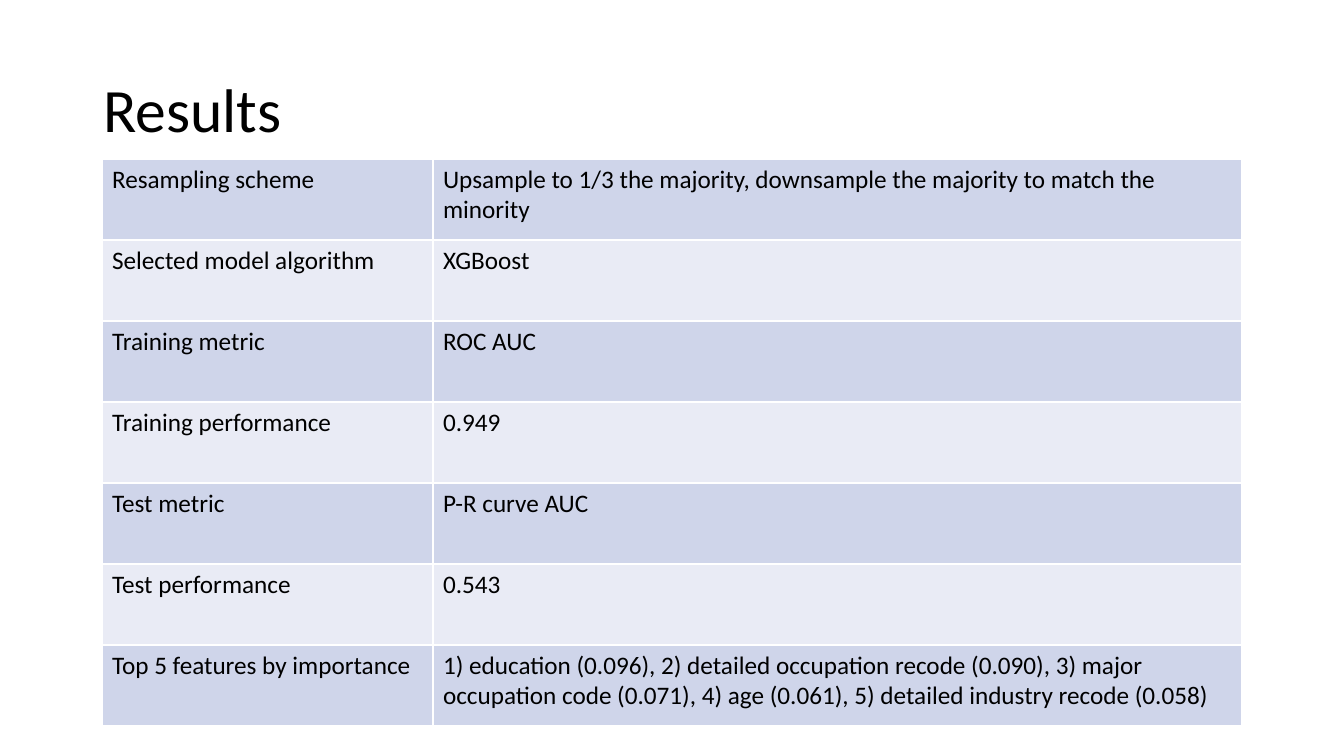
from pptx import Presentation
from pptx.dml.color import RGBColor
from pptx.enum.text import MSO_ANCHOR, PP_ALIGN
from pptx.util import Emu, Pt

LEFT, MIDDLE = PP_ALIGN.LEFT, MSO_ANCHOR.MIDDLE

TITLE = "Results"
RESULTS = [
    ("Resampling scheme",
     "Upsample to 1/3 the majority, downsample the majority to match the minority"),
    ("Selected model algorithm", "XGBoost"),
    ("Training metric", "ROC AUC"),
    ("Training performance", "0.949"),
    ("Test metric", "P-R curve AUC"),
    ("Test performance", "0.543"),
    ("Top 5 features by importance",
     "1) education (0.096), 2) detailed occupation recode (0.090), "
     "3) major occupation code (0.071), 4) age (0.061), "
     "5) detailed industry recode (0.058)"),
]
BAND_FILLS = ["CFD5EA", "E9EBF5"]
TITLE_FONT = {"name": "Calibri", "size": Pt(44), "bold": False}
CELL_FONT = {"name": "Calibri", "size": Pt(18), "bold": False}
TEXT_COLOR = "000000"

PAGE_SIZE = (1344, 756)
TITLE_BOX = (93, 40, 1159, 146)
TABLE_LEFT, TABLE_TOP = 102, 159
COLUMN_WIDTHS = [331, 809]
ROW_HEIGHT = 81
EMU_PER_PX = 914400 / 100.8


def px(length):
    return Emu(round(length * EMU_PER_PX))


def color(hex_value):
    return RGBColor.from_string(hex_value)


def write(frame, text, font_format):
    """Put one left-aligned paragraph into a text frame and format it."""
    para = frame.paragraphs[0]
    para.alignment = LEFT
    span = para.add_run()
    span.text = text
    for name, value in font_format.items():
        setattr(span.font, name, value)
    span.font.color.rgb = color(TEXT_COLOR)
    return para


def add_title(page):
    title = page.shapes.title
    for name, value in zip(("left", "top", "width", "height"), TITLE_BOX):
        setattr(title, name, px(value))
    title.text_frame.vertical_anchor = MIDDLE
    write(title.text_frame, TITLE, TITLE_FONT).line_spacing = 0.9


def add_results_table(page):
    table = page.shapes.add_table(
        len(RESULTS), len(COLUMN_WIDTHS), px(TABLE_LEFT), px(TABLE_TOP),
        px(sum(COLUMN_WIDTHS)), px(ROW_HEIGHT * len(RESULTS))).table
    table.first_row = False
    for column, width in zip(table.columns, COLUMN_WIDTHS):
        column.width = px(width)
    for index, (row, texts) in enumerate(zip(table.rows, RESULTS)):
        row.height = px(ROW_HEIGHT)
        for cell, text in zip(row.cells, texts):
            cell.fill.solid()
            cell.fill.fore_color.rgb = color(BAND_FILLS[index % 2])
            write(cell.text_frame, text, CELL_FONT)


def main():
    deck = Presentation()
    deck.slide_width, deck.slide_height = map(px, PAGE_SIZE)
    page = deck.slides.add_slide(deck.slide_layouts.get_by_name("Title Only"))
    add_title(page)
    add_results_table(page)
    deck.save("out.pptx")


if __name__ == "__main__":
    main()
